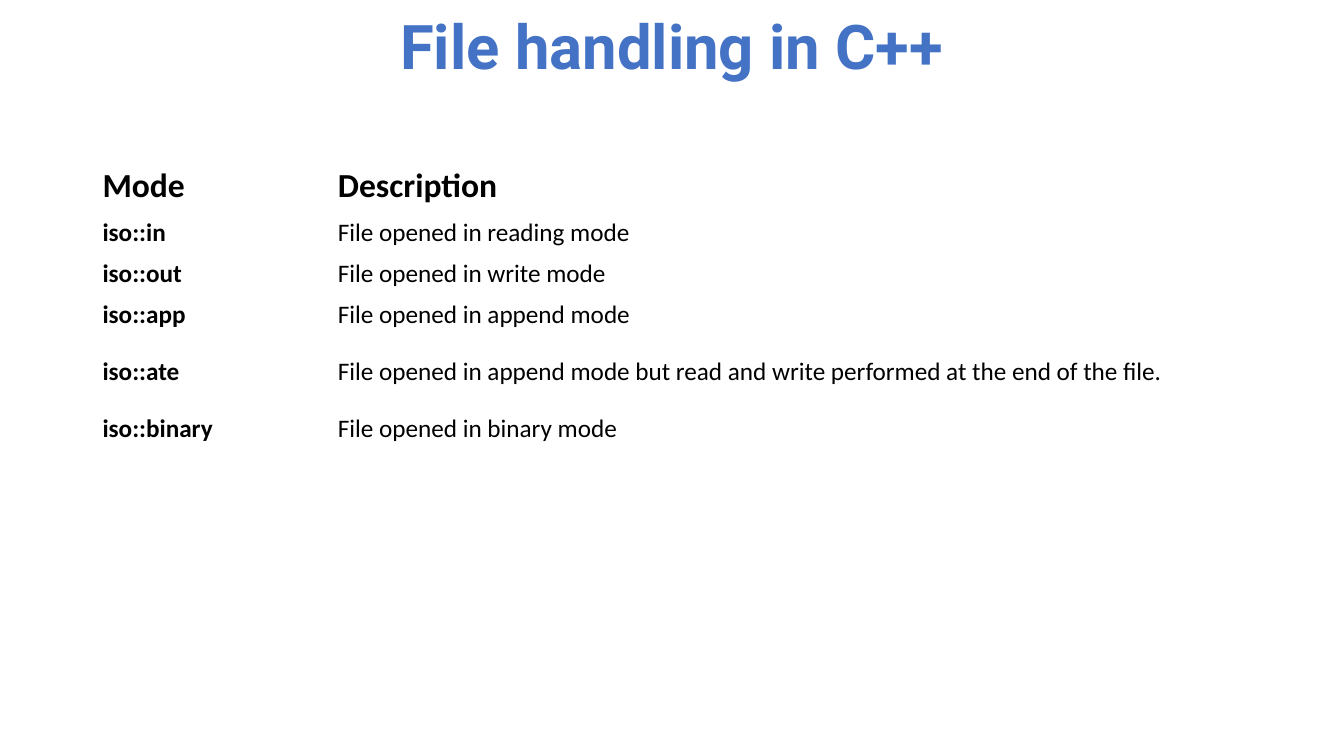
import pptx
import pptx.util
import pptx.dml.color
import pptx.enum.text
import pptx.oxml.ns
from lxml import etree

Cm = pptx.util.Cm
COLORS = {"title": "4472C4", "text": "000000", "white": "FFFFFF"}
LEFT = Cm(2.33)
COLUMN_WIDTHS = [5.93, 23.9]
MODES = [
    ("Mode", "Description", 1.3),
    ("iso::in", "File opened in reading mode", 1.04),
    ("iso::out", "File opened in write mode", 1.04),
    ("iso::app", "File opened in append mode", 1.04),
    ("iso::ate", "File opened in append mode but read and write performed at the end of the file.", 1.83),
    ("iso::binary", "File opened in binary mode", 1.04),
]


def rgb(name):
    return pptx.dml.color.RGBColor.from_string(COLORS[name])


def format_run(r, font, size, color, bold):
    r.font.name = font
    r.font.size = pptx.util.Pt(size)
    r.font.color.rgb = rgb(color)
    r.font.bold = bold


def add_title(s, text):
    sp = s.shapes.add_textbox(LEFT, Cm(0), Cm(29.21), Cm(2.49))
    tf = sp.text_frame
    tf.word_wrap = True
    tf.vertical_anchor = pptx.enum.text.MSO_ANCHOR.MIDDLE
    tf.text = text
    p = tf.paragraphs[0]
    p.alignment = pptx.enum.text.PP_ALIGN.CENTER
    p.line_spacing = 0.9
    format_run(p.runs[0], "Roboto", 44, "title", True)


def set_borders(cell, color):
    qn = pptx.oxml.ns.qn
    tc_pr = cell._tc.get_or_add_tcPr()
    for side in ("a:lnL", "a:lnR", "a:lnT", "a:lnB"):
        ln = etree.SubElement(tc_pr, qn(side), w=str(pptx.util.Pt(0.75)))
        fill = etree.SubElement(ln, qn("a:solidFill"))
        etree.SubElement(fill, qn("a:srgbClr"), val=COLORS[color])


def fill_cell(cell, text, size, bold):
    set_borders(cell, "white")
    cell.fill.solid()
    cell.fill.fore_color.rgb = rgb("white")
    cell.vertical_anchor = pptx.enum.text.MSO_ANCHOR.MIDDLE
    cell.text_frame.text = text
    format_run(cell.text_frame.paragraphs[0].runs[0], "Calibri", size, "text", bold)


def add_mode_table(s):
    height = sum(row[-1] for row in MODES)
    table = s.shapes.add_table(len(MODES), len(COLUMN_WIDTHS), LEFT, Cm(4.04),
                               Cm(sum(COLUMN_WIDTHS)), Cm(height)).table
    for column, width in zip(table.columns, COLUMN_WIDTHS):
        column.width = Cm(width)
    for i, (mode, description, row_height) in enumerate(MODES):
        table.rows[i].height = Cm(row_height)
        size = 24 if i == 0 else 18
        fill_cell(table.cell(i, 0), mode, size, True)
        fill_cell(table.cell(i, 1), description, size, i == 0)


def main():
    prs = pptx.Presentation()
    prs.slide_width = Cm(33.87)
    prs.slide_height = Cm(19.05)
    s = prs.slides.add_slide(prs.slide_layouts[6])
    add_title(s, "File handling in C++")
    add_mode_table(s)
    prs.save("out.pptx")


if __name__ == "__main__":
    main()
